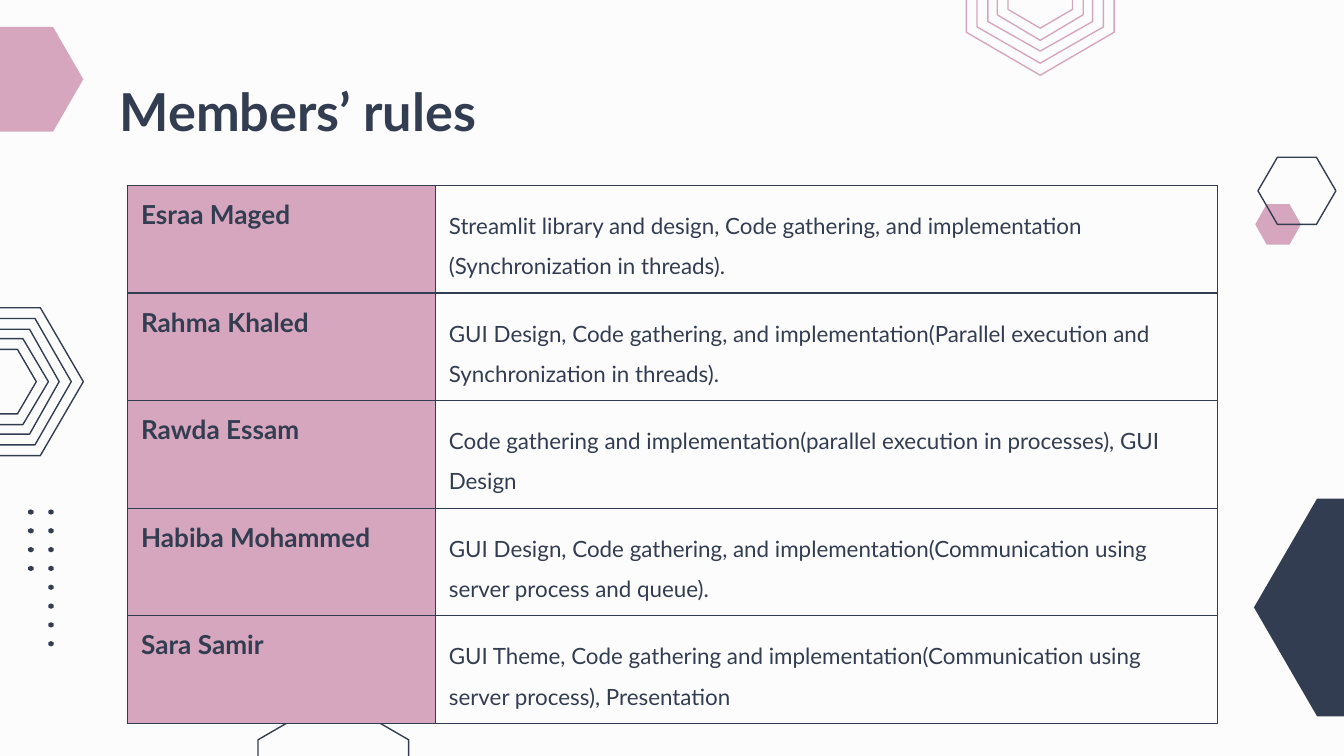
"""Build the "Members' rules" slide: a table of members and tasks among hexagons."""
import pptx
import pptx.dml.color
import pptx.enum.text
import pptx.oxml
import pptx.oxml.ns
import pptx.util
from pptx.util import Inches

NAVY = pptx.dml.color.RGBColor(0x33, 0x3D, 0x51)
PINK = pptx.dml.color.RGBColor(0xD5, 0xA6, 0xBD)
PAPER = pptx.dml.color.RGBColor(0xFC, 0xFC, 0xFC)
FONT = "Lato"


def draw(points, color, filled=False, close=True):
    pts = [(Inches(x), Inches(y)) for x, y in points]
    fb = s.shapes.build_freeform(*pts[0])
    fb.add_line_segments(pts[1:], close=close)
    sp = fb.convert_to_shape()
    sp.shadow.inherit = False
    if filled:
        sp.fill.solid()
        sp.fill.fore_color.rgb = color
        sp.line.fill.background()
    else:
        sp.fill.background()
        sp.line.color.rgb = color
        sp.line.width = pptx.util.Pt(0.75)


def style(p, text, size, bold):
    p.text = text
    p.font.name = FONT
    p.font.size = pptx.util.Pt(size)
    p.font.bold = bold
    p.font.color.rgb = NAVY


prs = pptx.Presentation()
prs.slide_width = Inches(10)
prs.slide_height = Inches(10) * 9 // 16
s = prs.slides.add_slide(prs.slide_layouts[5])
s.background.fill.solid()
s.background.fill.fore_color.rgb = PAPER

flat_hexagons = [
    (10.27, 4.52, 0.94, 0.81, NAVY, True),
    (9.51, 1.67, 0.17, 0.15, PINK, True),
    (0.17, 0.59, 0.45, 0.39, PINK, True),
    (9.65, 1.42, 0.29, 0.25, NAVY, False),
]
for cx, cy, a, b, color, filled in flat_hexagons:
    corners = [(a / 2, -b), (-a / 2, -b), (-a, 0), (-a / 2, b), (a / 2, b), (a, 0)]
    draw([(cx + x, cy + y) for x, y in corners], color, filled)

dots = [(x, 3.81 + 0.14 * i, 0.02, 0.02, True)
        for x, count in [(0.38, 8), (0.23, 4)] for i in range(count)]
for cx, cy, a, b, filled in dots + [(2.48, 5.83, 0.65, 0.56, False)]:
    corners = [(-b, -a / 2), (-b, a / 2), (0, a), (b, a / 2), (b, -a / 2), (0, -a)]
    draw([(cx + x, cy + y) for x, y in corners], NAVY, filled)

rings = [
    [(-1.44, 0.07, 0.21, 0.24), (-1.44, 0.24, 0.56, 0.55)],
    [(-1.37, 0.11, 0.3, 0.32), (-1.37, 0.2, 0.47, 0.47)],
    [(-1.37, 0.16, 0.38, 0.39)],
]
for ring in rings:
    outline = []
    side = -1
    for tail, shoulder, tip, half in ring:
        outline += [(tail, side * half), (shoulder, side * half), (tip, 0),
                    (shoulder, -side * half), (tail, -side * half)]
        side = -side
    close = len(ring) > 1
    draw([(u + 0.06, 2.84 + v) for u, v in outline], NAVY, close=close)
    draw([(7.74 + v, u) for u, v in outline], PINK, close=close)

title = s.shapes.title
title.left, title.top = Inches(0.79), Inches(0.49)
title.width, title.height = Inches(8.43), Inches(0.63)
tf = title.text_frame
tf.auto_size = pptx.enum.text.MSO_AUTO_SIZE.NONE
tf.vertical_anchor = pptx.enum.text.MSO_ANCHOR.TOP
tf.margin_left = tf.margin_right = tf.margin_top = tf.margin_bottom = Inches(0.1)
style(tf.paragraphs[0], "Members’ rules", 28, True)
tf.paragraphs[0].alignment = pptx.enum.text.PP_ALIGN.LEFT

members = [
    ("Esraa Maged", "Streamlit library and design, Code gathering, and implementation (Synchronization in threads)."),
    ("Rahma Khaled", "GUI Design, Code gathering, and implementation(Parallel execution and Synchronization in threads)."),
    ("Rawda Essam", "Code gathering and implementation(parallel execution in processes), GUI Design"),
    ("Habiba Mohammed", "GUI Design, Code gathering, and implementation(Communication using server process and queue)."),
    ("Sara Samir", "GUI Theme, Code gathering and implementation(Communication using server process), Presentation"),
]
table = s.shapes.add_table(len(members), 2, Inches(0.95), Inches(1.38),
                           Inches(8.11), Inches(3.87)).table
table.first_row = False
table.horz_banding = False
table.columns[0].width = Inches(2.29)
table.columns[1].width = Inches(5.82)
for row, texts in zip(table.rows, members):
    for col, (cell, text) in enumerate(zip(row.cells, texts)):
        cell.margin_left = cell.margin_right = Inches(0.1)
        cell.margin_top = cell.margin_bottom = Inches(0.1)
        for edge in ("lnL", "lnR", "lnT", "lnB"):
            cell._tc.get_or_add_tcPr().append(pptx.oxml.parse_xml(
                f'<a:{edge} {pptx.oxml.ns.nsdecls("a")} w="9525"><a:solidFill>'
                f'<a:srgbClr val="{NAVY}"/></a:solidFill></a:{edge}>'))
        p = cell.text_frame.paragraphs[0]
        if col == 0:
            cell.fill.solid()
            cell.fill.fore_color.rgb = PINK
            style(p, text, 14, True)
        else:
            cell.fill.background()
            style(p, text, 12, False)
            p.line_spacing = 1.5
            p.space_after = pptx.util.Pt(16)

prs.save("out.pptx")
